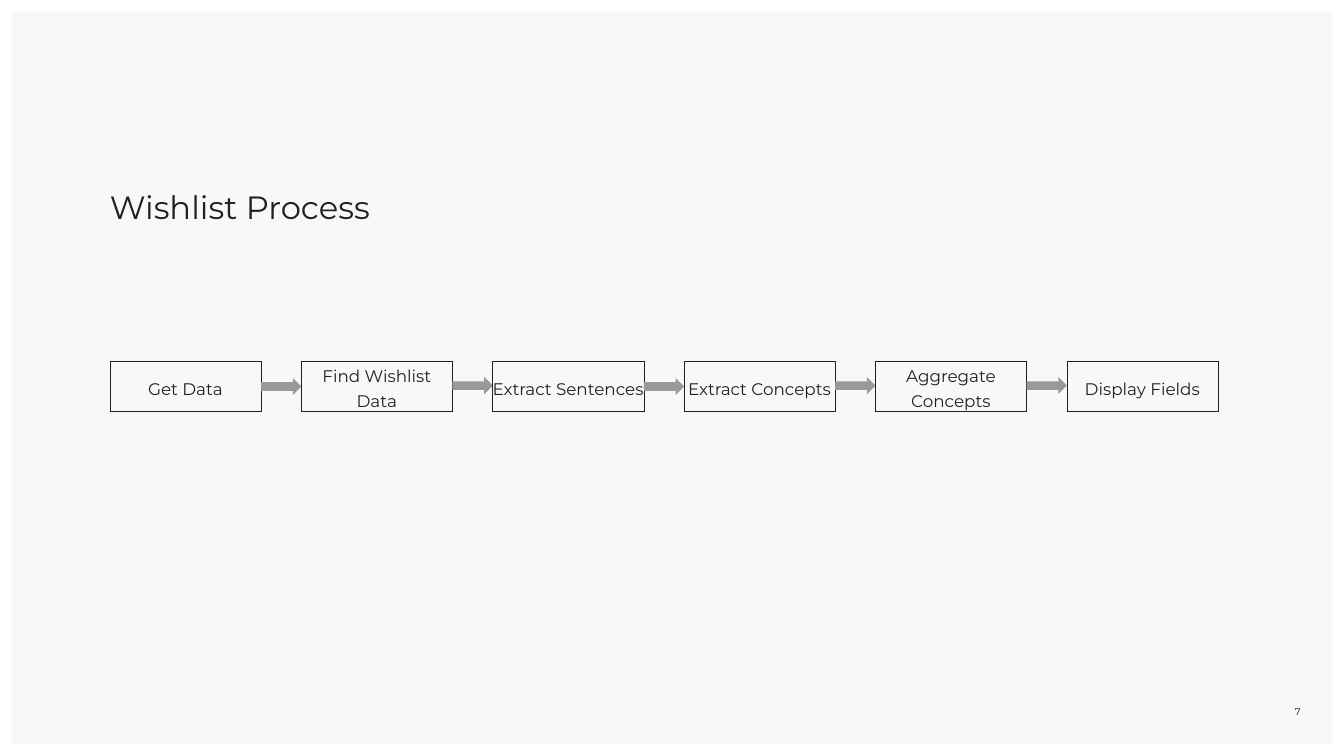
from dataclasses import dataclass
from typing import Optional

from pptx import Presentation
from pptx.dml.color import RGBColor
from pptx.enum.dml import MSO_LINE
from pptx.enum.shapes import MSO_SHAPE as Preset
from pptx.enum.text import MSO_ANCHOR as Anchor, PP_ALIGN as Align
from pptx.shapes.autoshape import Shape
from pptx.slide import Slide
from pptx.util import Emu, Pt

EMU_PER_PX = 9144  # 100 px to the inch


def px(length: float) -> Emu:
    return Emu(round(length * EMU_PER_PX))


@dataclass(frozen=True)
class Theme:
    font: str = "Montserrat"
    ink: RGBColor = RGBColor(0x20, 0x20, 0x20)
    panel: RGBColor = RGBColor(0xF8, 0xF8, 0xF8)
    arrow: RGBColor = RGBColor(0x99, 0x99, 0x99)
    title_size: float = 23
    step_size: float = 12
    number_size: float = 7
    outline_width: float = 0.25


@dataclass(frozen=True)
class Box:
    left: float
    top: float
    width: float
    height: float

    def emu(self) -> tuple[Emu, Emu, Emu, Emu]:
        return px(self.left), px(self.top), px(self.width), px(self.height)


@dataclass(frozen=True)
class Step:
    label: str
    arrow_top: Optional[int] = None  # arrow to the next step


THEME = Theme()
STEPS = (
    Step("Get Data", 375),
    Step("Find Wishlist Data", 374),
    Step("Extract Sentences", 375),
    Step("Extract Concepts", 374),
    Step("Aggregate Concepts", 374),
    Step("Display Fields"),
)
FIRST_LEFT, LAST_LEFT = 109, 1058
STEP_TOP, STEP_WIDTH, STEP_HEIGHT = 358, 150, 50
ARROW_WIDTH, ARROW_HEIGHT = 40, 17


def write(shape: Shape, text: str, size: float, align: Align, anchor: Anchor,
          spacing: float = 1.0) -> None:
    frame = shape.text_frame
    frame.word_wrap = True
    frame.vertical_anchor = anchor
    frame.margin_left = frame.margin_right = 0
    frame.margin_top = frame.margin_bottom = 0
    paragraph = frame.paragraphs[0]
    paragraph.alignment = align
    paragraph.line_spacing = spacing
    run = paragraph.add_run()
    run.text = text
    run.font.name = THEME.font
    run.font.size = Pt(size)
    run.font.color.rgb = THEME.ink


def add_filled(slide: Slide, preset: Preset, box: Box, color: RGBColor) -> None:
    shape = slide.shapes.add_shape(preset, *box.emu())
    shape.shadow.inherit = False
    shape.fill.solid()
    shape.fill.fore_color.rgb = color
    shape.line.fill.background()


def add_step(slide: Slide, step: Step, left: float) -> None:
    box = Box(left, STEP_TOP, STEP_WIDTH, STEP_HEIGHT)
    shape = slide.shapes.add_shape(Preset.RECTANGLE, *box.emu())
    shape.shadow.inherit = False
    shape.fill.background()
    shape.line.color.rgb = THEME.ink
    shape.line.width = Pt(THEME.outline_width)
    shape.line.dash_style = MSO_LINE.ROUND_DOT
    write(shape, step.label, THEME.step_size, Align.CENTER, Anchor.MIDDLE, 1.25)


def main() -> None:
    presentation = Presentation()
    presentation.slide_width, presentation.slide_height = px(1333), px(750)
    slide = presentation.slides.add_slide(presentation.slide_layouts[6])

    # Background panel
    add_filled(slide, Preset.RECTANGLE, Box(12, 12, 1309, 726), THEME.panel)

    # Title
    title = slide.shapes.add_textbox(*Box(109, 107, 1114, 117).emu())
    write(title, "Wishlist Process", THEME.title_size, Align.LEFT, Anchor.BOTTOM, 1.1)

    # Process steps, evenly spaced, and the arrows between them
    pitch = (LAST_LEFT - FIRST_LEFT) / (len(STEPS) - 1)
    for index, step in enumerate(STEPS):
        left = FIRST_LEFT + index * pitch
        add_step(slide, step, left)
        if step.arrow_top is not None:
            arrow = Box(left + STEP_WIDTH, step.arrow_top, ARROW_WIDTH, ARROW_HEIGHT)
            add_filled(slide, Preset.RIGHT_ARROW, arrow, THEME.arrow)

    # Slide number
    number = slide.shapes.add_textbox(*Box(1261, 698, 29, 15).emu())
    write(number, "7", THEME.number_size, Align.RIGHT, Anchor.MIDDLE)

    presentation.save("out.pptx")


if __name__ == "__main__":
    main()
